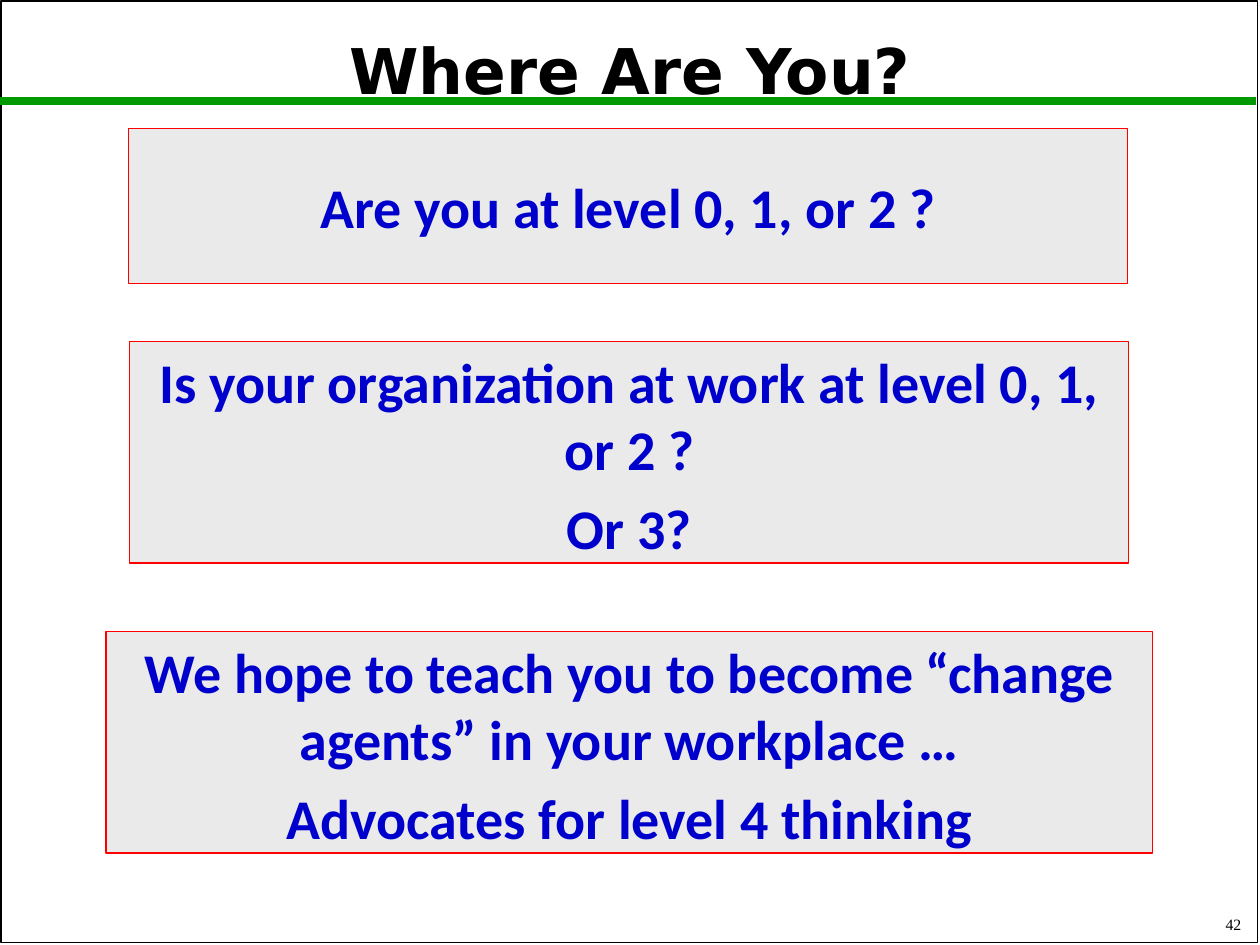
from dataclasses import dataclass

from lxml.etree import SubElement
from pptx import Presentation
from pptx.dml.color import RGBColor
from pptx.enum.shapes import MSO_CONNECTOR, MSO_SHAPE
from pptx.enum.text import MSO_ANCHOR as Anchor, MSO_AUTO_SIZE, PP_ALIGN as Align
from pptx.oxml.ns import qn
from pptx.util import Inches, Pt


@dataclass
class Box:
    left: float
    top: float
    width: float
    height: float
    lines: list[str]
    anchor: Anchor = Anchor.TOP


BOXES = [
    Box(1.02, 1.02, 7.93, 1.23, ["Are you at level 0, 1, or 2 ?"], Anchor.MIDDLE),
    Box(1.03, 2.71, 7.93, 1.76,
        ["Is your organization at work at level 0, 1, or 2 ?", "Or 3?"]),
    Box(0.84, 5.01, 8.31, 1.76,
        ["We hope to teach you to become “change agents” in your workplace …",
         "Advocates for level 4 thinking"]),
]


def rgb(color: str) -> RGBColor:
    return RGBColor.from_string(color)


def set_line(s, color: str, width: float) -> None:
    s.line.color.rgb = rgb(color)
    s.line.width = Pt(width)


def format_paragraph(p, font: str, size: float, color: str, align: Align,
                     bold: bool = False) -> None:
    p.alignment = align
    p.font.name, p.font.size, p.font.bold = font, Pt(size), bold
    p.font.color.rgb = rgb(color)


def add_rectangle(slide, left: float, top: float, width: float, height: float):
    s = slide.shapes.add_shape(MSO_SHAPE.RECTANGLE, Inches(left), Inches(top),
                               Inches(width), Inches(height))
    s.shadow.inherit = False
    return s


def add_frame(slide) -> None:
    s = add_rectangle(slide, 0.01, 0.01, 9.97, 7.47)
    s.fill.background()
    set_line(s, "000000", 1)


def add_rule(slide) -> None:
    s = slide.shapes.add_connector(MSO_CONNECTOR.STRAIGHT, Inches(0), Inches(0.8),
                                   Inches(9.97), Inches(0.8))
    set_line(s, "009900", 4.5)
    SubElement(s._element.spPr, qn("a:effectLst"))


def set_title(slide, text: str) -> None:
    s = slide.shapes.title
    s.left, s.top, s.width, s.height = map(Inches, (0.05, 0.11, 9.9, 0.95))
    tf = s.text_frame
    tf.text = text
    tf.auto_size = MSO_AUTO_SIZE.NONE
    tf.vertical_anchor = Anchor.MIDDLE
    p = tf.paragraphs[0]
    format_paragraph(p, "DejaVu Sans", 36, "000000", Align.CENTER, bold=True)
    p.line_spacing = 0.9


def add_page_number(slide, number: str) -> None:
    s = slide.shapes.add_textbox(Inches(7.87), Inches(7.17), Inches(2.08), Inches(0.29))
    tf = s.text_frame
    tf.text = number
    tf.word_wrap = True
    tf.vertical_anchor = Anchor.BOTTOM
    format_paragraph(tf.paragraphs[0], "Times New Roman", 9, "000000", Align.RIGHT)


def add_box(slide, box: Box) -> None:
    s = add_rectangle(slide, box.left, box.top, box.width, box.height)
    s.fill.solid()
    s.fill.fore_color.rgb = rgb("EAEAEA")
    set_line(s, "FF0000", 0.75)
    tf = s.text_frame
    tf.text = "\n".join(box.lines)
    tf.word_wrap = True
    tf.vertical_anchor = box.anchor
    for p in tf.paragraphs:
        format_paragraph(p, "Calibri", 32, "0000CC", Align.CENTER, bold=True)
        p.space_before = Pt(6.4)


def main() -> None:
    prs = Presentation()
    prs.slide_width, prs.slide_height = Inches(10), Inches(7.5)
    slide = prs.slides.add_slide(prs.slide_layouts[5])
    add_frame(slide)
    add_rule(slide)
    set_title(slide, "Where Are You?")
    add_page_number(slide, "42")
    for box in BOXES:
        add_box(slide, box)
    prs.save("out.pptx")


if __name__ == "__main__":
    main()
